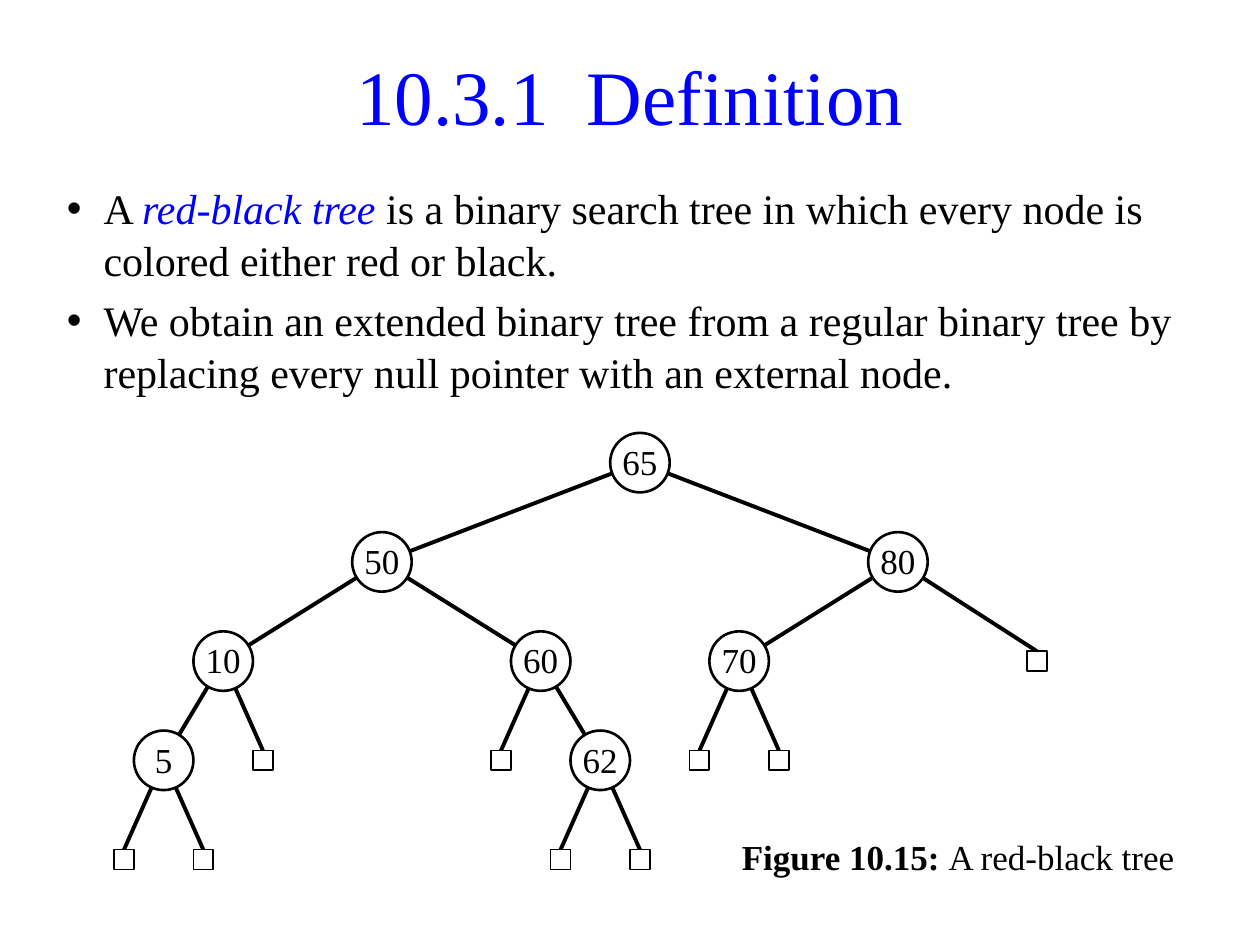
import pptx
import pptx.dml.color
import pptx.enum.shapes
import pptx.enum.text
import pptx.oxml.ns
import pptx.util
from lxml import etree

Pt = pptx.util.Pt
Shape = pptx.enum.shapes.MSO_SHAPE
Align = pptx.enum.text.PP_ALIGN
Anchor = pptx.enum.text.MSO_ANCHOR
qn = pptx.oxml.ns.qn

COLORS = {"ink": "000000", "accent": "0000FF", "paper": "FFFFFF"}
FONT = "Times New Roman"

UNIT = 11.34           # tree grid step, also the side of an external node
LEVEL = 5 * UNIT       # drop from parent to child
DIAMETER = 3 * UNIT    # internal node

# A node is (key, left, right); each branch is (offset in units, child).
# A child of None is an external node.
LEAVES = ((-2, None), (2, None))
TREE = (65,
        (-13, (50,
               (-8, (10, (-3, (5, *LEAVES)), (2, None))),
               (8, (60, (-2, None), (3, (62, *LEAVES)))))),
        (13, (80,
              (-8, (70, *LEAVES)),
              (7, None))))


def rgb(name):
    return pptx.dml.color.RGBColor.from_string(COLORS[name])


class SlideBuilder:
    def __init__(self, prs, layout):
        self.s = prs.slides.add_slide(prs.slide_layouts[layout])

    def place(self, sp, x, y, w, h):
        sp.left, sp.top, sp.width, sp.height = Pt(x), Pt(y), Pt(w), Pt(h)

    def run(self, p, text, size, color="ink", bold=False, italic=False):
        r = p.add_run()
        r.text = text
        r.font.name, r.font.size = FONT, Pt(size)
        r.font.bold, r.font.italic = bold, italic
        r.font.color.rgb = rgb(color)

    def title(self, text, box):
        sp = self.s.shapes.title
        self.place(sp, *box)
        tf = sp.text_frame
        tf.auto_size = pptx.enum.text.MSO_AUTO_SIZE.NONE
        tf.vertical_anchor = Anchor.MIDDLE
        p = tf.paragraphs[0]
        p.alignment = Align.CENTER
        self.run(p, text, 44, "accent")

    def bullets(self, items, box):
        sp = self.s.placeholders[1]
        self.place(sp, *box)
        tf = sp.text_frame
        tf.auto_size = pptx.enum.text.MSO_AUTO_SIZE.NONE
        for i, runs in enumerate(items):
            p = tf.add_paragraph() if i else tf.paragraphs[0]
            p.space_before = Pt(4.8 if i else 0)
            p.line_spacing = 1.03
            pPr = p._p.get_or_add_pPr()
            pPr.set("marL", str(Pt(21)))
            pPr.set("indent", str(-Pt(21)))
            etree.SubElement(pPr, qn("a:buChar")).set("char", "•")
            for text, style in runs:
                self.run(p, text, 24, **style)

    def caption(self, label, text, box):
        tf = self.s.shapes.add_textbox(*map(Pt, box)).text_frame
        tf.word_wrap = True
        p = tf.paragraphs[0]
        self.run(p, label, 20, bold=True)
        self.run(p, text, 20)

    def edge(self, x1, y1, x2, y2):
        line = self.s.shapes.add_connector(
            pptx.enum.shapes.MSO_CONNECTOR.STRAIGHT, Pt(x1), Pt(y1), Pt(x2), Pt(y2))
        line.line.color.rgb = rgb("ink")
        line.line.width = Pt(2.25)
        etree.SubElement(line._element.spPr, qn("a:effectLst"))

    def outline(self, kind, cx, cy, side, width):
        sp = self.s.shapes.add_shape(
            kind, Pt(cx - side / 2), Pt(cy - side / 2), Pt(side), Pt(side))
        sp.shadow.inherit = False
        sp.fill.solid()
        sp.fill.fore_color.rgb = rgb("paper")
        sp.line.color.rgb = rgb("ink")
        sp.line.width = Pt(width)
        return sp

    def external_node(self, cx, cy):
        self.outline(Shape.RECTANGLE, cx, cy, UNIT, 1)

    def internal_node(self, key, cx, cy):
        tf = self.outline(Shape.OVAL, cx, cy, DIAMETER, 1.5).text_frame
        tf.margin_left = tf.margin_top = tf.margin_right = 0
        tf.margin_bottom = Pt(0.7)
        tf.vertical_anchor = Anchor.BOTTOM
        tf.word_wrap = False
        p = tf.paragraphs[0]
        p.alignment = Align.CENTER
        self.run(p, str(key), 20)

    def tree(self, node, cx, cy):
        key, *branches = node
        child_y = cy + LEVEL
        for offset, child in branches:
            child_x = cx + offset * UNIT
            if child is None:
                self.edge(cx, cy, child_x, child_y - UNIT / 2)
                self.external_node(child_x, child_y)
            else:
                self.edge(cx, cy, child_x, child_y)
                self.tree(child, child_x, child_y)
        self.internal_node(key, cx, cy)


def main():
    prs = pptx.Presentation()
    prs.slide_width, prs.slide_height = Pt(720), Pt(540)
    slide = SlideBuilder(prs, 1)

    # Heading and definition
    slide.title("10.3.1  Definition", (31, 20, 658, 68))
    slide.bullets([
        [("A ", {}),
         ("red-black tree", {"color": "accent", "italic": True}),
         (" is a binary search tree in which every node is colored either "
          "red or black.", {})],
        [("We obtain an extended binary tree from a regular binary tree by "
          "replacing every null pointer with an external node.", {})],
    ], (31, 100, 658, 136))

    # Figure
    slide.tree(TREE, 365.7, 264.4)
    slide.caption("Figure 10.15: ", "A red-black tree", (416.8, 474, 272, 34))

    prs.save("out.pptx")


if __name__ == "__main__":
    main()
